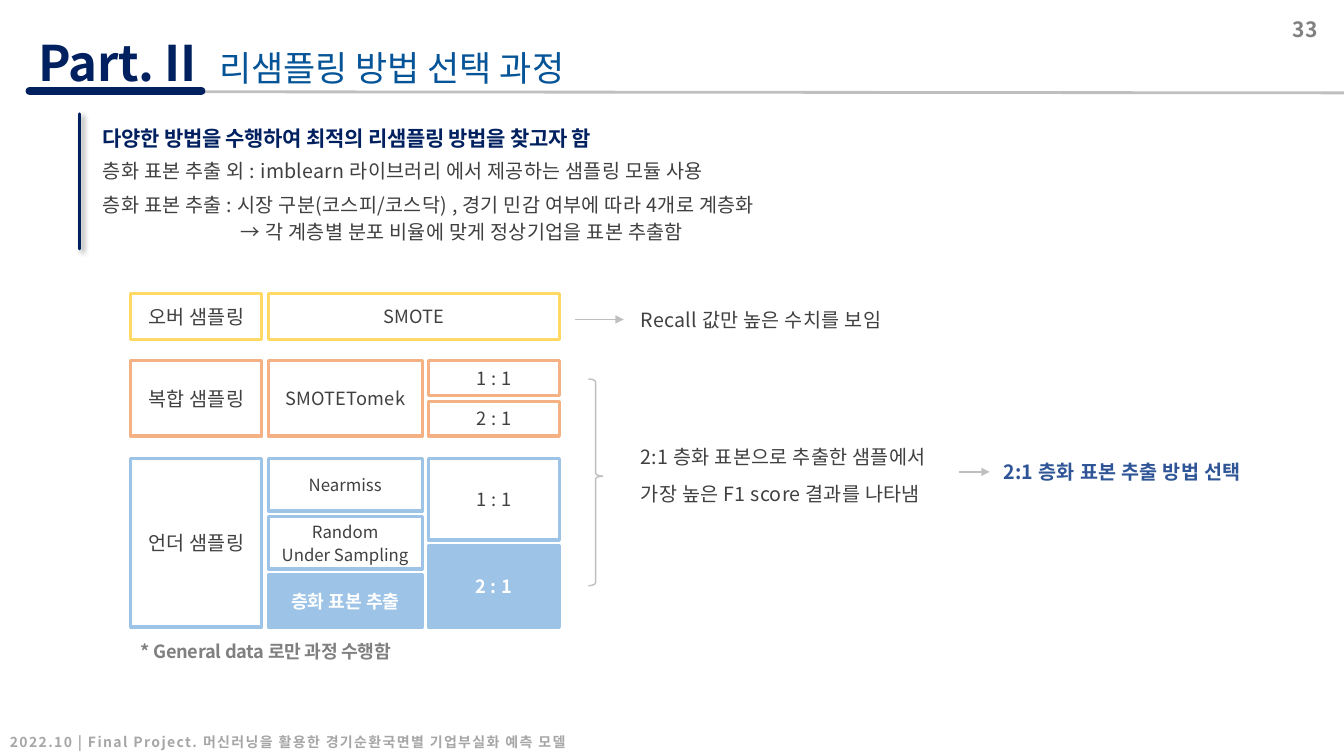
from dataclasses import dataclass

from lxml import etree
from pptx import Presentation
from pptx.dml.color import RGBColor
from pptx.enum.shapes import MSO_CONNECTOR, MSO_SHAPE
from pptx.enum.text import MSO_ANCHOR, PP_ALIGN
from pptx.oxml.ns import qn
from pptx.util import Cm, Pt

RECT, BRACE = MSO_SHAPE.RECTANGLE, MSO_SHAPE.RIGHT_BRACE
STRAIGHT = MSO_CONNECTOR.STRAIGHT
TOP, MIDDLE, BOTTOM = MSO_ANCHOR.TOP, MSO_ANCHOR.MIDDLE, MSO_ANCHOR.BOTTOM
LEFT, CENTER, RIGHT = PP_ALIGN.LEFT, PP_ALIGN.CENTER, PP_ALIGN.RIGHT


@dataclass(frozen=True)
class Theme:
    font: str = "Noto Sans CJK KR"
    navy: str = "002060"
    title: str = "045497"
    choice: str = "2F5597"
    text: str = "404040"
    muted: str = "808080"
    pale: str = "A6A6A6"
    rule: str = "BFBFBF"
    white: str = "FFFFFF"
    over: str = "FFD966"
    mixed: str = "F4B183"
    under: str = "9DC3E6"
    part_size: float = 35
    title_size: float = 25
    lead_size: float = 15
    body_size: float = 14
    method_size: float = 13
    small_size: float = 12
    footer_size: float = 10


THEME = Theme()
GAP = 0.14  # between stacked boxes


def rgb(value):
    return RGBColor.from_string(value)


def sub(parent, tag, **attributes):
    return etree.SubElement(parent, qn(tag), attributes)


def write(frame, lines, size=THEME.body_size, color=THEME.text, bold=False,
          spacing=0.2, align=LEFT, anchor=TOP, after=0, line=1.0):
    """Fill a text frame; after is one value or one per line."""
    frame.word_wrap = True
    frame.vertical_anchor = anchor
    gaps = after if isinstance(after, tuple) else (after,) * len(lines)
    for index, (words, gap) in enumerate(zip(lines, gaps)):
        paragraph = frame.paragraphs[0] if index == 0 else frame.add_paragraph()
        layout = {"alignment": align, "space_after": Pt(gap), "line_spacing": line}
        for name, value in layout.items():
            setattr(paragraph, name, value)
        run = paragraph.add_run()
        run.text = words
        for name, value in {"size": Pt(size), "bold": bold, "name": THEME.font}.items():
            setattr(run.font, name, value)
        run.font.color.rgb = rgb(color)
        properties = run._r.get_or_add_rPr()
        properties.set("spc", str(round(spacing * 100)))
        sub(properties, "a:ea", typeface=THEME.font)


def add_text(slide, place, *lines, margins=True, **style):
    frame = slide.shapes.add_textbox(*map(Cm, place)).text_frame
    if not margins:
        for side in ("left", "top", "right", "bottom"):
            setattr(frame, f"margin_{side}", 0)
    write(frame, lines, **style)
    return frame


def add_shape(slide, kind, place, outline=None, width=2.25, fill=None):
    shape = slide.shapes.add_shape(kind, *map(Cm, place))
    shape.shadow.inherit = False
    for part, color in ((shape.fill, fill), (shape.line.fill, outline)):
        if color:
            part.solid()
            part.fore_color.rgb = rgb(color)
        else:
            part.background()
    if outline:
        shape.line.width = Pt(width)
    return shape


def add_box(slide, place, outline, *lines, chosen=False, **style):
    """Outlined method box; the chosen one is filled, with white bold words."""
    box = add_shape(slide, RECT, place, outline, fill=outline if chosen else None)
    look = {"size": THEME.method_size, "bold": chosen, "align": CENTER,
            "anchor": MIDDLE, "after": 2,
            "color": THEME.white if chosen else THEME.text}
    write(box.text_frame, lines, **(look | style))


def add_line(slide, ends, color=THEME.rule, width=1, arrow=False, rounded=False,
             shadow=False):
    connector = slide.shapes.add_connector(STRAIGHT, *map(Cm, ends))
    connector.line.color.rgb = rgb(color)
    connector.line.width = Pt(width)
    properties = connector._element.spPr
    outline = properties.find(qn("a:ln"))
    if rounded:
        outline.set("cap", "rnd")
    if arrow:
        sub(outline, "a:tailEnd", type="triangle")
    effects = sub(properties, "a:effectLst")
    if shadow:
        cast = sub(effects, "a:outerShdw", blurRad=str(Pt(4)), dist=str(Pt(3)),
                   dir="2700000", algn="tl", rotWithShape="0")
        sub(sub(cast, "a:srgbClr", val="000000"), "a:alpha", val="40000")


def stack(left, top, width, height, count):
    """Split a column into equal boxes, one above the other."""
    each = (height - GAP * (count - 1)) / count
    return [(left, top + row * (each + GAP), width, each) for row in range(count)]


def add_frame(slide):
    add_text(slide, (0.97, 0.81, 5.87, 1.5), "Part. II", margins=False,
             size=THEME.part_size, color=THEME.navy, bold=True, spacing=-0.3)
    add_line(slide, (2.79, 2.31, 33.87, 2.34), width=2)
    add_line(slide, (0.74, 2.29, 5.08, 2.29), THEME.navy, 5.5, rounded=True)
    footer = add_shape(slide, RECT, (0, 18.24, 28.04, 0.79), fill=THEME.white)
    sub(footer._element.spPr.find(".//" + qn("a:srgbClr")), "a:alpha", val="50000")
    write(footer.text_frame,
          ["2022.10 | Final Project. 머신러닝을 활용한 경기순환국면별 기업부실화 예측 모델"],
          size=THEME.footer_size, color=THEME.pale, bold=True, spacing=1, anchor=BOTTOM)
    add_text(slide, (5.28, 0.91, 17.6, 1.45), "리샘플링 방법 선택 과정",
             size=THEME.title_size, color=THEME.title, spacing=0, anchor=BOTTOM)
    add_text(slide, (25.83, 0.3, 7.62, 1.02), "33", size=THEME.lead_size,
             color=THEME.muted, bold=True, spacing=0, align=RIGHT)


def add_summary(slide):
    add_line(slide, (2.01, 2.87, 2.01, 6.27), THEME.navy, 2.25, rounded=True, shadow=True)
    add_text(slide, (2.34, 2.97, 23.29, 0.94),
             "다양한 방법을 수행하여 최적의 리샘플링 방법을 찾고자 함",
             size=THEME.lead_size, color=THEME.navy, bold=True, spacing=-0.2, line=1.1)
    details = add_text(
        slide, (2.34, 3.89, 22.45, 2.84),
        "층화 표본 추출 외 : imblearn 라이브러리 에서 제공하는 샘플링 모듈 사용",
        "층화 표본 추출 : 시장 구분(코스피/코스닥) , 경기 민감 여부에 따라 4개로 계층화",
        "→ 각 계층별 분포 비율에 맞게 정상기업을 표본 추출함", after=(7, 3, 3))
    details.paragraphs[-1]._p.get_or_add_pPr().set("marL", str(Cm(3.48)))


def add_methods(slide):
    group_left, method_left, ratio_left = 3.3, 6.76, 10.8
    narrow, wide = 3.3, 3.88
    rows = {"오버 샘플링": (7.39, 1.17, THEME.over),
            "복합 샘플링": (9.09, 1.9, THEME.mixed),
            "언더 샘플링": (11.56, 4.24, THEME.under)}
    for group, (top, height, color) in rows.items():
        add_box(slide, (group_left, top, narrow, height), color, group,
                size=THEME.body_size)
    (over_top, over_height, over), (mixed_top, mixed_height, mixed), \
        (under_top, under_height, under) = rows.values()

    # Methods
    full = ratio_left + narrow - method_left
    add_box(slide, (method_left, over_top, full, over_height), over, "SMOTE")
    add_box(slide, (method_left, mixed_top, wide, mixed_height), mixed, "SMOTETomek")
    near, random, stratified = stack(method_left, under_top, wide, under_height, 3)
    small = {"size": THEME.small_size, "spacing": 0}
    add_box(slide, near, under, "Nearmiss", **small)
    add_box(slide, random, under, "Random", "Under Sampling", **small)
    add_box(slide, stratified, under, "층화 표본 추출", chosen=True, spacing=0)

    # Ratios
    for top, height, color in (rows["복합 샘플링"], rows["언더 샘플링"]):
        equal, double = stack(ratio_left, top, narrow, height, 2)
        add_box(slide, equal, color, "1 : 1")
        add_box(slide, double, color, "2 : 1", chosen=color == under)

    add_text(slide, (3.3, 15.95, 8.53, 0.84), "* General data 로만 과정 수행함",
             size=THEME.method_size, color=THEME.muted, bold=True, spacing=-0.2, line=1.1)


def add_findings(slide):
    brace = add_shape(slide, BRACE, (14.83, 9.55, 0.36, 5.21), THEME.rule, 1)
    for index, value in enumerate((0.21, 0.47)):
        brace.adjustments[index] = value
    style = {"anchor": MIDDLE, "after": 10}
    add_line(slide, (14.5, 8.05, 15.72, 8.05), arrow=True)
    add_text(slide, (15.9, 7.32, 9.02, 1.45), "Recall 값만 높은 수치를 보임", **style)
    add_text(slide, (15.9, 10.59, 9.6, 2.77), "2:1 층화 표본으로 추출한 샘플에서",
             "가장 높은 F1 score 결과를 나타냄", **style)
    add_line(slide, (24.18, 11.89, 24.94, 11.89), arrow=True)
    add_text(slide, (25.04, 11.15, 7.34, 1.45), "2:1 층화 표본 추출 방법 선택",
             color=THEME.choice, bold=True, **style)


def main():
    deck = Presentation()
    deck.slide_width, deck.slide_height = Cm(33.87), Cm(19.05)
    slide = deck.slides.add_slide(deck.slide_layouts[6])
    for add_part in (add_frame, add_summary, add_methods, add_findings):
        add_part(slide)
    deck.save("out.pptx")


if __name__ == "__main__":
    main()
